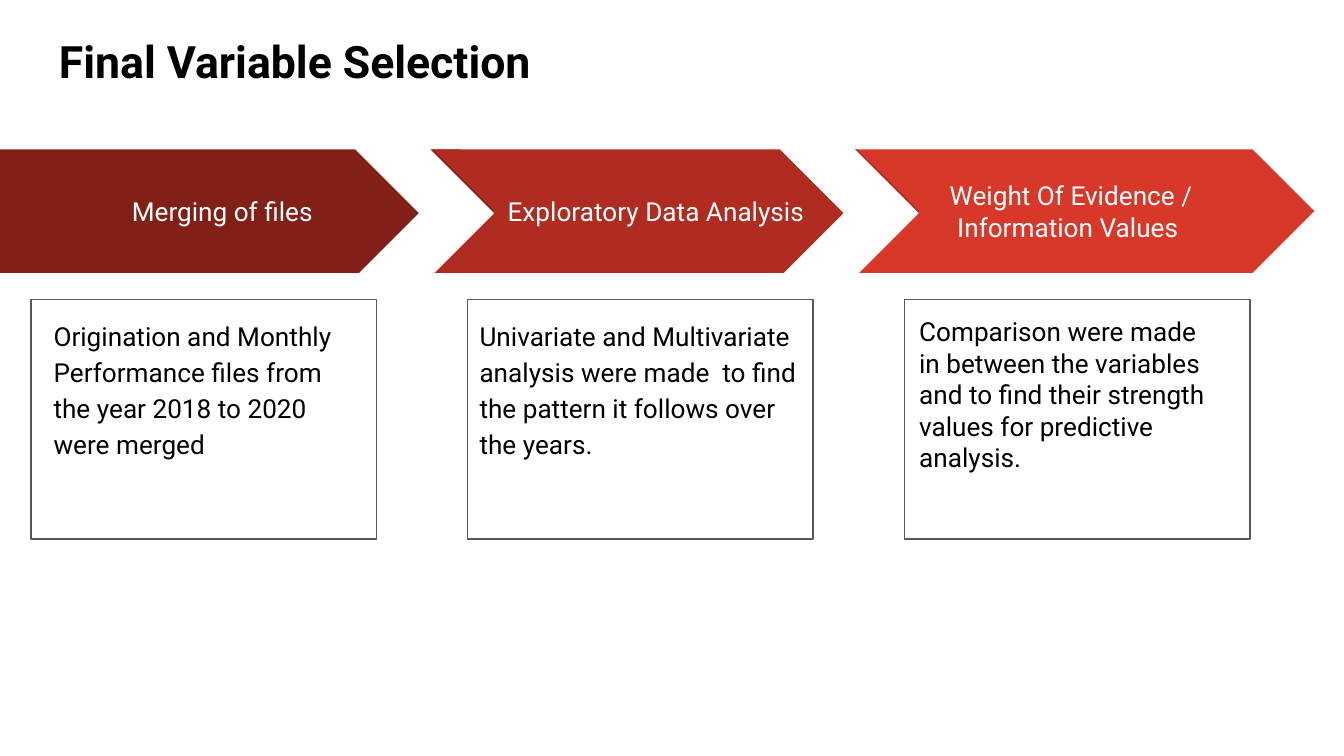
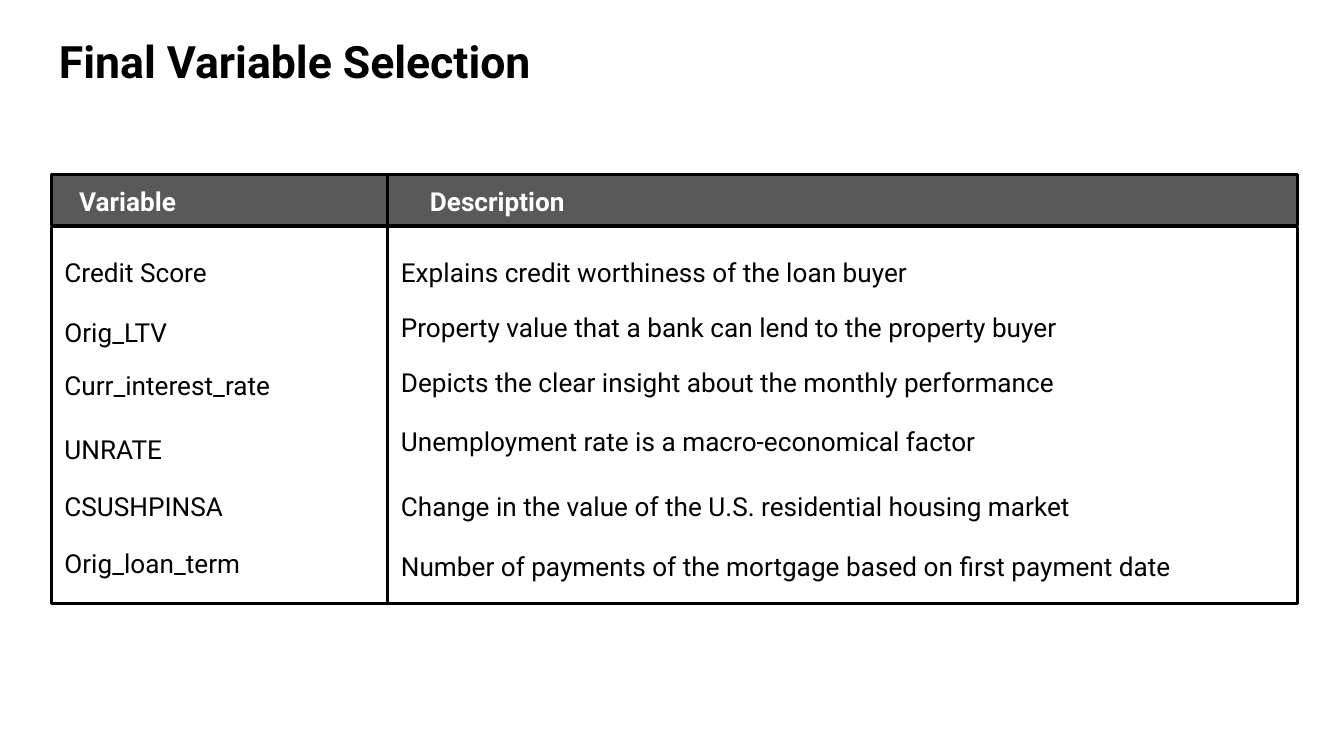
import dataclasses
from typing import Any, Optional

import pptx
import pptx.dml.color
import pptx.enum.shapes
import pptx.enum.text
import pptx.util

Pt = pptx.util.Pt
MSO = pptx.enum.shapes.MSO_SHAPE
ALIGN = pptx.enum.text.PP_ALIGN
ANCHOR = pptx.enum.text.MSO_ANCHOR
FIT = pptx.enum.text.MSO_AUTO_SIZE

FONT = "Roboto"
BLACK, WHITE, GRAY = "000000", "FFFFFF", "595959"
TITLE = "Final Variable Selection"
INSET = 7.2


@dataclasses.dataclass(frozen=True)
class Box:
    x: float
    y: float
    w: float
    h: float

    def emu(self) -> list[int]:
        return [Pt(v) for v in dataclasses.astuple(self)]


@dataclasses.dataclass(frozen=True)
class Style:
    """Character and paragraph format."""
    color: str = BLACK
    font: dict[str, Any] = dataclasses.field(default_factory=dict)
    para: dict[str, Any] = dataclasses.field(default_factory=dict)
    indent: float = 0


@dataclasses.dataclass(frozen=True)
class Step:
    """One arrow of the process with its text card."""
    arrow: Any
    arrow_x: float
    arrow_w: float
    fill: str
    label: list[str]
    label_style: Style
    text: str
    text_x: float
    text_w: float
    text_style: Style


@dataclasses.dataclass(frozen=True)
class Row:
    """One variable; the tops are those of the two text boxes."""
    variable: str
    variable_y: float
    description: str
    description_y: float


TITLE_STYLE = Style(font={"size": Pt(23.9), "bold": True})
BODY = Style()
LOOSE = Style(para={"line_spacing": 1.15})
ROW = Style(para={"line_spacing": 1.5, "space_after": Pt(12)})
HEAD = Style(WHITE, font={"bold": True})
LABEL = Style(WHITE)
CENTERED = Style(WHITE, para={"alignment": ALIGN.CENTER})
INDENTED = Style(WHITE, indent=63.5)

# Back to front: the third arrow lies under the other two
STEPS = [
    Step(MSO.CHEVRON, 443.5, 260.6, "D83829",
         ["Weight Of Evidence /", "Information Values "], CENTERED,
         "Comparison were made in between the variables and to find their "
         "strength values for predictive analysis.", 485.3, 176.4, BODY),
    Step(MSO.PENTAGON, 0, 279.4, "802017", ["Merging of files"], INDENTED,
         "Origination and Monthly Performance files from the year 2018 to "
         "2020 were merged", 21.6, 176.4, LOOSE),
    Step(MSO.CHEVRON, 231.8, 260.6, "B02C20",
         ["Exploratory Data Analysis"], LABEL,
         "Univariate and Multivariate analysis were made  to find the "
         "pattern it follows over the years.", 249.8, 185.8, LOOSE),
]
ARROW_Y, ARROW_H = 80, 66.2
GAP_XS = (190.8, 418.3)
CARD_X, CARD_STEP = 16.6, 234

ROWS = [
    Row("Credit Score", 121.7,
        "Explains credit worthiness of the loan buyer", 121.7),
    Row("Orig_LTV", 154.1,
        "Property value that a bank can lend to the property buyer", 151.2),
    Row("Curr_interest_rate", 182.2,
        "Depicts the clear insight about the monthly performance", 180.7),
    Row("UNRATE", 216.7,
        "Unemployment rate is a macro-economical factor", 212.4),
    Row("CSUSHPINSA", 247,
        "Change in the value of the U.S. residential housing market", 247),
    Row("Orig_loan_term", 277.9,
        "Number of payments of the mortgage based on first payment date",
        279.4),
]
LEFT_X, RIGHT_X = 27.4, 207.7
LEFT_W, RIGHT_W = 180.7, 487.4
HEAD_Y, HEAD_H = 93.6, 27.4
BODY_Y, BODY_H = 121.7, 201.6


def rgb(color: str) -> pptx.dml.color.RGBColor:
    return pptx.dml.color.RGBColor.from_string(color)


def set_all(obj: Any, values: dict[str, Any]) -> None:
    for name, value in values.items():
        setattr(obj, name, value)


def write(sp: Any, lines: list[str], style: Style,
          anchor: Any = ANCHOR.TOP, auto_size: Any = FIT.NONE) -> None:
    tf = sp.text_frame
    margins = {f"margin_{side}": Pt(INSET)
               for side in ("left", "top", "right", "bottom")}
    set_all(tf, {"word_wrap": True, "auto_size": auto_size,
                 "vertical_anchor": anchor, **margins})
    for i, line in enumerate(lines):
        p = tf.add_paragraph() if i else tf.paragraphs[0]
        set_all(p, {"alignment": ALIGN.LEFT, **style.para})
        if style.indent:
            p._p.get_or_add_pPr().set("indent", str(Pt(style.indent)))
        r = p.add_run()
        r.text = line
        set_all(r.font, {"name": FONT, "size": Pt(14), "bold": False,
                         **style.font})
        r.font.color.rgb = rgb(style.color)


def add_text(s: Any, box: Box, text: str, style: Style,
             auto_size: Any = FIT.NONE) -> None:
    write(s.shapes.add_textbox(*box.emu()), [text], style,
          auto_size=auto_size)


def add_shape(s: Any, kind: Any, box: Box, fill: Optional[str] = None,
              line: Optional[str] = None, width: float = 0.75) -> Any:
    sp = s.shapes.add_shape(kind, *box.emu())
    sp.shadow.inherit = False
    if fill:
        sp.fill.solid()
        sp.fill.fore_color.rgb = rgb(fill)
    else:
        sp.fill.background()
    if line:
        sp.line.color.rgb = rgb(line)
        sp.line.width = Pt(width)
    else:
        sp.line.fill.background()
    return sp


def add_slide(prs: Any) -> Any:
    s = prs.slides.add_slide(prs.slide_layouts[6])
    add_text(s, Box(24.5, 10.8, 671, 45.4), TITLE, TITLE_STYLE)
    return s


def build_process(prs: Any) -> None:
    s = add_slide(prs)
    # Arrows and their explanations
    for step in STEPS:
        arrow = add_shape(s, step.arrow,
                          Box(step.arrow_x, ARROW_Y, step.arrow_w, ARROW_H),
                          step.fill)
        write(arrow, step.label, step.label_style, ANCHOR.MIDDLE)
        add_text(s, Box(step.text_x, 162, step.text_w, 206), step.text,
                 step.text_style)
    # White gaps between the arrows
    for x in GAP_XS:
        add_shape(s, MSO.CHEVRON, Box(x, ARROW_Y, 73.4, 68.4), WHITE, WHITE)
    # Card frames
    for i in range(len(STEPS)):
        add_shape(s, MSO.RECTANGLE,
                  Box(CARD_X + i * CARD_STEP, 160.6, 185, 128.2), line=GRAY)


def build_variables(prs: Any) -> None:
    s = add_slide(prs)
    # Header and body frames
    for y, h, fill in ((HEAD_Y, HEAD_H, GRAY), (BODY_Y, BODY_H, WHITE)):
        for x, w in ((LEFT_X, LEFT_W), (RIGHT_X, RIGHT_W)):
            add_shape(s, MSO.RECTANGLE, Box(x, y, w, h), fill, BLACK, 1.5)
    # Column headings
    for x, w, heading in ((35.3, 137.5, "Variable"),
                          (223.2, 272.9, "Description")):
        add_text(s, Box(x, 92.2, w, 31.7), heading, HEAD, FIT.SHAPE_TO_FIT_TEXT)
    # Variables and their descriptions
    for row in ROWS:
        for x, y, w, text in (
                (LEFT_X, row.variable_y, LEFT_W, row.variable),
                (RIGHT_X, row.description_y, RIGHT_W, row.description)):
            add_text(s, Box(x, y, w, 31.7), text, ROW, FIT.SHAPE_TO_FIT_TEXT)


def main() -> None:
    prs = pptx.Presentation()
    set_all(prs, {"slide_width": Pt(720), "slide_height": Pt(405)})
    build_process(prs)
    build_variables(prs)
    prs.save("out.pptx")


if __name__ == "__main__":
    main()
